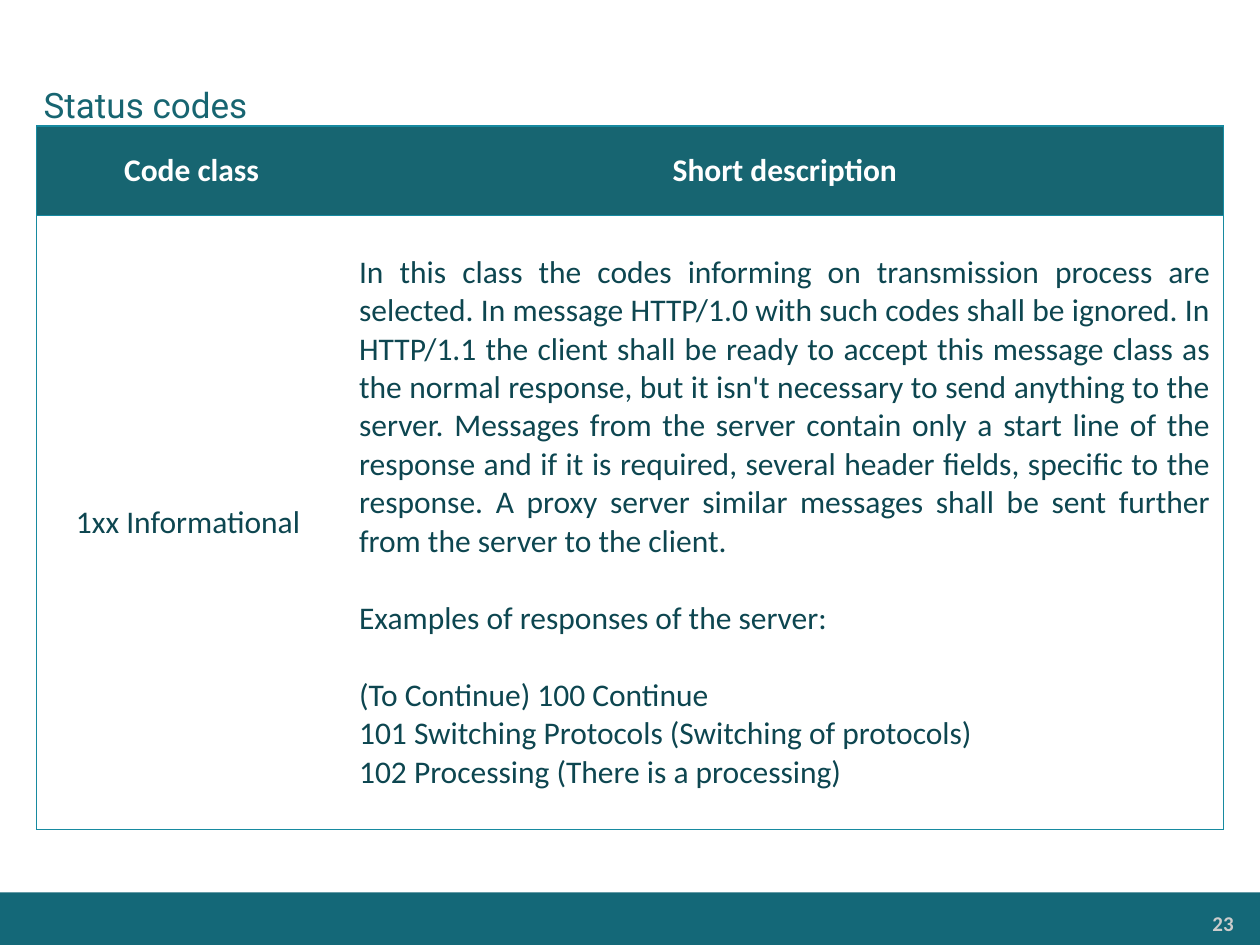
import pptx
import pptx.util
import pptx.dml.color
import pptx.enum.shapes
import pptx.enum.text
import pptx.oxml

Pt = pptx.util.Pt
ALIGN = pptx.enum.text.PP_ALIGN
ANCHOR = pptx.enum.text.MSO_ANCHOR
NS = "http://schemas.openxmlformats.org/drawingml/2006/main"

TEAL, EDGE, INK, WHITE = "176571", "178AA0", "0D4650", "FFFFFF"
GAP = 22  # one empty line of body text

HEADS = ["Code class", "Short description"]
CLASS = "1xx Informational "
# Each line of the description with the space before it
NOTES = [
    ("In this class the codes informing on transmission process are selected. "
     "In message HTTP/1.0 with such codes shall be ignored. In HTTP/1.1 the "
     "client shall be ready to accept this message class as the normal "
     "response, but it isn't necessary to send anything to the server. "
     "Messages from the server contain only a start line of the response and "
     "if it is required, several header fields, specific to the response. A "
     "proxy server similar messages shall be sent further from the server to "
     "the client.", 0),
    ("Examples of responses of the server:", GAP),
    ("(To Continue) 100 Continue", GAP),
    ("101 Switching Protocols (Switching of protocols)", 0),
    ("102 Processing (There is a processing)", 0),
]


def color(code):
    return pptx.dml.color.RGBColor.from_string(code)


def write(frame, lines, size, code, align, face="Calibri", bold=False):
    for i, (text, before) in enumerate(lines):
        para = frame.add_paragraph() if i else frame.paragraphs[0]
        para.alignment = align
        para.space_before = Pt(before)
        run = para.add_run()
        run.text = text
        run.font.name = face
        run.font.size = Pt(size)
        run.font.bold = bold
        run.font.color.rgb = color(code)


def add_text(slide, box, text, size, code, align, **style):
    frame = slide.shapes.add_textbox(*map(Pt, box)).text_frame
    frame.word_wrap = True
    frame.margin_left = frame.margin_right = 0
    frame.margin_top = frame.margin_bottom = 0
    write(frame, [(text, 0)], size, code, align, **style)


def add_bar(slide, box, code):
    bar = slide.shapes.add_shape(
        pptx.enum.shapes.MSO_SHAPE.RECTANGLE, *map(Pt, box))
    bar.shadow.inherit = False
    bar.fill.solid()
    bar.fill.fore_color.rgb = color(code)
    bar.line.fill.background()


def set_edges(cell, sides):
    """Draw the named sides of a cell and clear the others."""
    props = cell._tc.get_or_add_tcPr()
    for side in "LRTB":
        paint = "<a:noFill/>"
        if side in sides:
            paint = f'<a:solidFill><a:srgbClr val="{EDGE}"/></a:solidFill>'
        props.append(pptx.oxml.parse_xml(
            f'<a:ln{side} xmlns:a="{NS}" w="{Pt(0.75)}">{paint}</a:ln{side}>'))


def fill_cell(cell, lines, code, align, sides, back=None, bold=False):
    set_edges(cell, sides)
    if back:
        cell.fill.solid()
        cell.fill.fore_color.rgb = color(back)
    else:
        cell.fill.background()
    cell.vertical_anchor = ANCHOR.MIDDLE
    write(cell.text_frame, lines, 18, code, align, bold=bold)


def add_grid(slide):
    widths, heights = [177, 501], [51, 351]
    table = slide.shapes.add_table(
        2, 2, Pt(21), Pt(72), Pt(sum(widths)), Pt(sum(heights))).table
    for col, width in zip(table.columns, widths):
        col.width = Pt(width)
    for row, height in zip(table.rows, heights):
        row.height = Pt(height)

    # Header row, then the class and its description
    for i, (head, sides) in enumerate(zip(HEADS, ["LTB", "RTB"])):
        fill_cell(table.cell(0, i), [(head, 0)], WHITE, ALIGN.CENTER, sides,
                  back=TEAL, bold=True)
    fill_cell(table.cell(1, 0), [(CLASS, 0)], INK, ALIGN.CENTER, "LTB")
    fill_cell(table.cell(1, 1), NOTES, INK, ALIGN.JUSTIFY, "RTB")


def main():
    deck = pptx.Presentation()
    deck.slide_width, deck.slide_height = Pt(720), Pt(540)
    slide = deck.slides.add_slide(deck.slide_layouts[6])

    # Footer
    add_bar(slide, (0, 510, 720, 30), "146878")
    add_text(slide, (592, 520.5, 113, 15), "23", 12, "CCCCCC", ALIGN.RIGHT,
             bold=True)

    # Title and table
    add_text(slide, (25, 47.5, 670, 24), "Status codes", 20, TEAL, ALIGN.LEFT,
             face="Roboto")
    add_grid(slide)
    deck.save("out.pptx")


if __name__ == "__main__":
    main()
